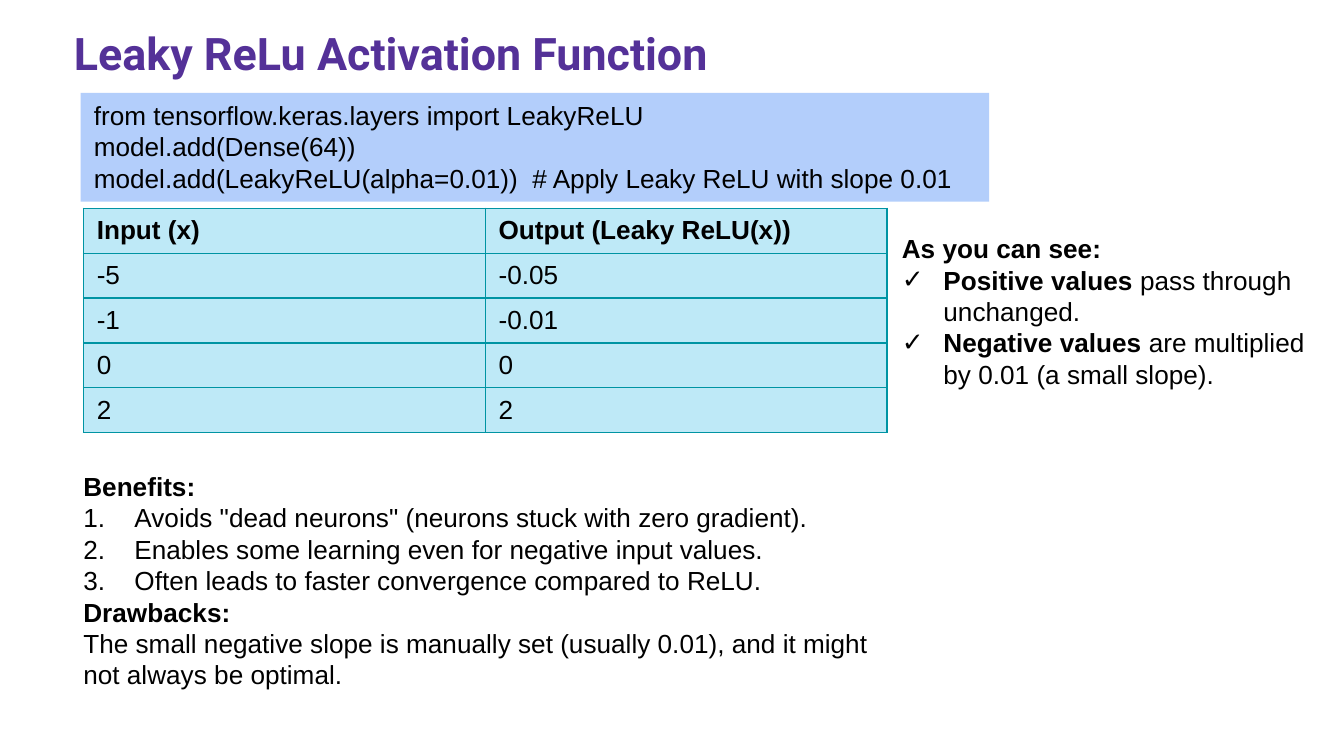
from lxml import etree
from pptx import Presentation
from pptx import util as u
from pptx.dml.color import RGBColor
from pptx.enum import shapes, text
from pptx.oxml.ns import qn

PURPLE = RGBColor(0x54, 0x31, 0x98)
BLACK = RGBColor(0, 0, 0)
CODE_BLUE = RGBColor(0xB3, 0xCE, 0xFB)
CELL_BLUE = RGBColor(0xBE, 0xE9, 0xF7)
BORDER_TEAL = RGBColor(0x00, 0x94, 0xA3)

# Content: each paragraph is (marker, [(words, bold), ...])
TITLE = "Leaky ReLu Activation Function"
CODE = [
    (None, [("from tensorflow.keras.layers import LeakyReLU", False)]),
    (None, [("model.add(Dense(64))", False)]),
    (None, [("model.add(LeakyReLU(alpha=0.01))  # Apply Leaky ReLU with slope 0.01", False)]),
]
VALUES = [
    ("Input (x)", "Output (Leaky ReLU(x))"),
    ("-5", "-0.05"),
    ("-1", "-0.01"),
    ("0", "0"),
    ("2", "2"),
]
OBSERVATIONS = [
    (None, [("As you can see:", True)]),
    ("check", [("Positive values", True), (" pass through unchanged.", False)]),
    ("check", [("Negative values", True), (" are multiplied by 0.01 (a small slope).", False)]),
]
ASSESSMENT = [
    (None, [("Benefits:", True)]),
    ("number", [('Avoids "dead neurons" (neurons stuck with zero gradient).', False)]),
    ("number", [("Enables some learning even for negative input values.", False)]),
    ("number", [("Often leads to faster convergence compared to ReLU.", False)]),
    (None, [("Drawbacks:", True)]),
    (None, [("The small negative slope is manually set (usually 0.01), "
             "and it might not always be optimal.", False)]),
]
# Marker: indent in inches, then its elements
MARKERS = {
    None: (0, [("a:buNone", {})]),
    "check": (0.31, [("a:buFont", {"typeface": "Arial"}), ("a:buChar", {"char": "✓"})]),
    "number": (0.38, [("a:buFont", {"typeface": "Arial"}),
                      ("a:buAutoNum", {"type": "arabicPeriod"})]),
}

# Layout: left, top, width, height in inches
TITLE_AREA = (0.45, 0.09, 9.11, 0.69)
CODE_AREA = (0.6, 0.69, 6.76, 0.81)
TABLE_AREA = (0.62, 1.55, 5.98, 1.67)
OBSERVATION_AREA = (6.61, 1.68, 3.39, 1.28)
ASSESSMENT_AREA = (0.52, 3.45, 6.07, 1.99)


def place(shape, area):
    shape.left, shape.top, shape.width, shape.height = map(u.Inches, area)


def style(font, size=14, bold=False, name="Arial", color=BLACK):
    font.name, font.size, font.bold = name, u.Pt(size), bold
    font.color.rgb = color


def set_frame(frame, margin=0.05):
    frame.word_wrap = True
    frame.auto_size = text.MSO_AUTO_SIZE.NONE
    frame.vertical_anchor = text.MSO_ANCHOR.TOP
    frame.margin_left = frame.margin_right = u.Inches(0.1)
    frame.margin_top = frame.margin_bottom = u.Inches(margin)


def write(shape, paragraphs):
    frame = shape.text_frame
    set_frame(frame)
    frame.text = "\n".join("".join(words for words, _ in spans) for _, spans in paragraphs)
    for para, (marker, spans) in zip(frame.paragraphs, paragraphs):
        para.clear()
        indent, elements = MARKERS[marker]
        properties = para._p.get_or_add_pPr()
        properties.set("marL", str(u.Inches(indent)))
        properties.set("indent", str(-u.Inches(indent)))
        for tag, attributes in elements:
            etree.SubElement(properties, qn(tag), attributes)
        para.alignment = text.PP_ALIGN.LEFT
        para.space_before = u.Pt(0)
        for words, bold in spans:
            span = para.add_run()
            span.text = words
            style(span.font, bold=bold)


def add_borders(cell):
    properties = cell._tc.get_or_add_tcPr()
    for position, side in enumerate(("a:lnL", "a:lnR", "a:lnT", "a:lnB")):
        line = etree.Element(qn(side), w=str(u.Pt(0.75)))
        fill = etree.SubElement(line, qn("a:solidFill"))
        etree.SubElement(fill, qn("a:srgbClr"), val=str(BORDER_TEAL))
        properties.insert(position, line)


# Widescreen page, 16:9
deck = Presentation()
deck.slide_width = u.Inches(10)
deck.slide_height = deck.slide_width * 9 // 16
page = deck.slides.add_slide(deck.slide_layouts.get_by_name("Two Content"))
title, observations, assessment = page.placeholders

# Title
place(title, TITLE_AREA)
set_frame(title.text_frame, margin=0.1)
title.text_frame.text = TITLE
heading = title.text_frame.paragraphs[0]
heading.alignment = text.PP_ALIGN.LEFT
style(heading.runs[0].font, 24, True, "Roboto", PURPLE)

# Code panel
panel = page.shapes.add_shape(shapes.MSO_SHAPE.RECTANGLE, *map(u.Inches, CODE_AREA))
panel.shadow.inherit = False
panel.fill.solid()
panel.fill.fore_color.rgb = CODE_BLUE
panel.line.fill.background()
write(panel, CODE)

# Table of inputs and outputs
table = page.shapes.add_table(len(VALUES), len(VALUES[0]), *map(u.Inches, TABLE_AREA)).table
for row, values in enumerate(VALUES):
    for column, value in enumerate(values):
        cell = table.cell(row, column)
        cell.text = value
        cell.vertical_anchor = text.MSO_ANCHOR.MIDDLE
        cell.fill.solid()
        cell.fill.fore_color.rgb = CELL_BLUE
        add_borders(cell)
        style(cell.text_frame.paragraphs[0].runs[0].font, bold=row == 0)

# Observations beside the table, benefits and drawbacks below it
for box, area, paragraphs in (
    (observations, OBSERVATION_AREA, OBSERVATIONS),
    (assessment, ASSESSMENT_AREA, ASSESSMENT),
):
    place(box, area)
    write(box, paragraphs)

deck.save("out.pptx")
